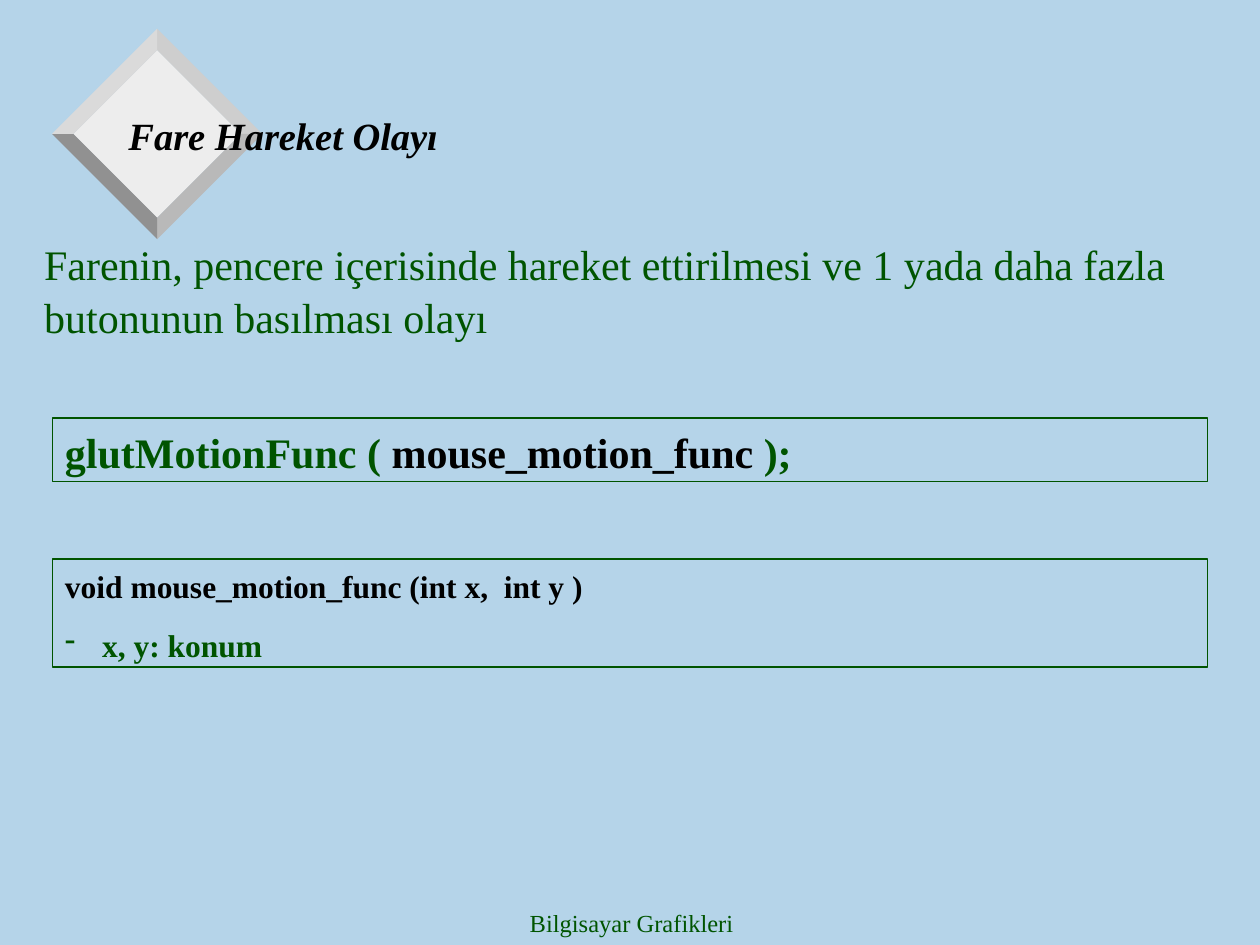
from dataclasses import dataclass
from typing import NamedTuple

from lxml.etree import SubElement as Sub
from pptx import Presentation
from pptx.dml.color import RGBColor as Rgb
from pptx.enum.shapes import MSO_SHAPE as Shape
from pptx.enum.text import MSO_ANCHOR as Anchor, PP_ALIGN as Align
from pptx.oxml.ns import qn
from pptx.util import Cm, Pt


@dataclass(frozen=True)
class Theme:
    font: str = "Times New Roman"
    back: str = "B5D4E9"
    green: str = "005400"
    black: str = "000000"
    face: str = "EDEDED"
    bevel: tuple = ("CECECE", "B9B9B9", "919191", "DADADA")
    title: int = 22
    body: int = 24
    code: int = 18
    foot: int = 14
    line: float = 0.75
    lead: float = 1.04


T = Theme()


class Span(NamedTuple):
    text: str
    color: str = T.green


class Para(NamedTuple):
    spans: list[Span]
    before: float = 0
    bullet: str = ""


@dataclass
class Block:
    left: float
    top: float
    width: float
    height: float
    size: int
    paras: list[Para]
    bold: bool = False
    italic: bool = False
    framed: bool = False
    anchor: Anchor = Anchor.TOP
    align: Align = Align.LEFT


BLOCKS = [
    Block(8.71, 18.16, 8.05, 0.89, T.foot,
          [Para([Span("Bilgisayar Grafikleri")])], align=Align.CENTER),
    Block(2.34, 1.17, 21.59, 3.07, T.title,
          [Para([Span("Fare Hareket Olayı", T.black)])],
          bold=True, italic=True, anchor=Anchor.MIDDLE),
    Block(1.06, 11.27, 23.28, 2.18, T.code,
          [Para([Span("void mouse_motion_func (int x,  int y )", T.black)]),
           Para([Span("x, y: konum")], before=11.2, bullet="-")],
          bold=True, framed=True),
    Block(0.64, 4.65, 24.33, 2.29, T.body,
          [Para([Span("Farenin, pencere içerisinde hareket ettirilmesi ve 1 "
                      "yada daha fazla butonunun basılması olayı")])]),
    Block(1.06, 8.43, 23.28, 1.28, T.body,
          [Para([Span("glutMotionFunc ( "),
                 Span("mouse_motion_func ", T.black), Span(");")])],
          bold=True, framed=True),
]


def add_facet(slide, points: list[tuple[float, float]], color: str) -> None:
    first, *rest = [(Cm(x), Cm(y)) for x, y in points]
    build = slide.shapes.build_freeform(*first)
    build.add_line_segments(rest, close=True)
    facet = build.convert_to_shape()
    facet.shadow.inherit = False
    facet.fill.solid()
    facet.fill.fore_color.rgb = Rgb.from_string(color)
    facet.line.fill.background()


def add_gem(slide, x: float, y: float, outer: float, inner: float) -> None:
    """Draw a diamond face with four bevels, clockwise from the top right."""
    def ring(r: float) -> list[tuple[float, float]]:
        return [(x, y - r), (x + r, y), (x, y + r), (x - r, y)]

    rim, face = ring(outer), ring(inner)
    add_facet(slide, face, T.face)
    for i, color in enumerate(T.bevel):
        j = (i + 1) % 4
        add_facet(slide, [face[i], rim[i], rim[j], face[j]], color)


def set_bullet(para, mark: str) -> None:
    props = para._p.get_or_add_pPr()
    props.set("marL", str(Cm(0.75)))
    props.set("indent", str(-Cm(0.75)))
    Sub(Sub(props, qn("a:buClr")), qn("a:srgbClr"), val=T.green)
    Sub(props, qn("a:buChar"), char=mark)


def fill_para(para, item: Para, block: Block) -> None:
    if item.bullet:
        set_bullet(para, item.bullet)
    para.alignment = block.align
    para.line_spacing = T.lead
    para.space_before = Pt(item.before)
    for span in item.spans:
        run = para.add_run()
        run.text = span.text
        font = run.font
        font.name, font.size = T.font, Pt(block.size)
        font.bold, font.italic = block.bold, block.italic
        font.color.rgb = Rgb.from_string(span.color)


def add_block(slide, block: Block) -> None:
    area = [Cm(v) for v in (block.left, block.top, block.width, block.height)]
    if block.framed:
        box = slide.shapes.add_shape(Shape.RECTANGLE, *area)
        box.shadow.inherit = False
        box.fill.background()
        box.line.color.rgb = Rgb.from_string(T.green)
        box.line.width = Pt(T.line)
    else:
        box = slide.shapes.add_textbox(*area)
    frame = box.text_frame
    frame.word_wrap = True
    frame.vertical_anchor = block.anchor
    for i, item in enumerate(block.paras):
        para = frame.add_paragraph() if i else frame.paragraphs[0]
        fill_para(para, item, block)


def main() -> None:
    deck = Presentation()
    deck.slide_width, deck.slide_height = Cm(25.4), Cm(19.05)
    slide = deck.slides.add_slide(deck.slide_layouts[6])
    slide.background.fill.solid()
    slide.background.fill.fore_color.rgb = Rgb.from_string(T.back)
    add_gem(slide, 3.17, 2.7, 2.12, 1.69)
    for block in BLOCKS:
        add_block(slide, block)
    deck.save("out.pptx")


if __name__ == "__main__":
    main()
